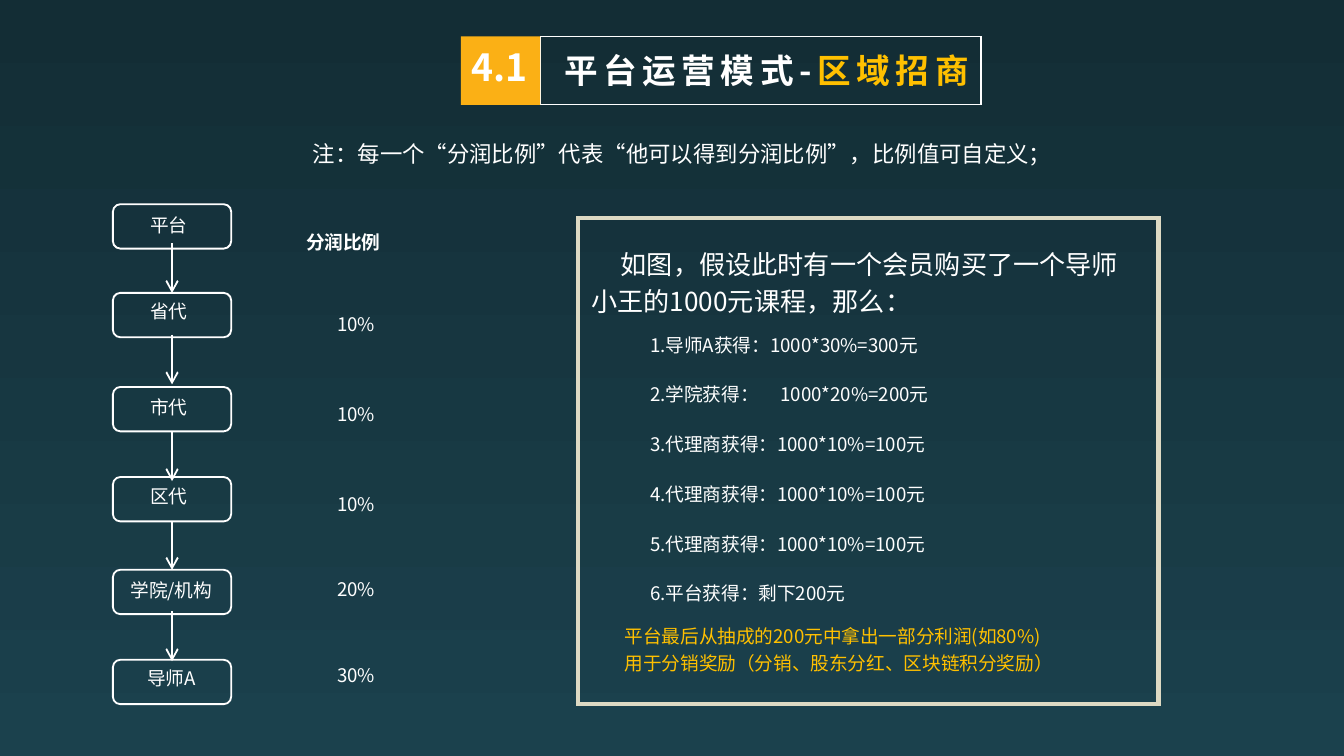
from typing import Any, NamedTuple

from lxml import etree
from pptx import Presentation
from pptx import util as u
from pptx.dml.color import RGBColor
from pptx.enum import shapes, text
from pptx.oxml import ns

FACE = "Noto Sans CJK SC"
INK = {
    "top": "132D35",
    "base": "1B414D",
    "white": "FFFFFF",
    "gold": "FFC000",
    "badge": "FBB015",
    "sand": "DDD9C3",
}


class Box(NamedTuple):
    left: float
    top: float
    width: float
    height: float


class Node(NamedTuple):
    name: str
    top: float
    label: Box
    centred: bool
    rate: str
    level: float


class Arrow(NamedTuple):
    start: float
    end: float


class Run(NamedTuple):
    words: str
    ink: str = "white"


def hue(name: str) -> RGBColor:
    return RGBColor.from_string(INK[name])


def apply(target: Any, style: dict[str, Any]) -> None:
    for key, value in style.items():
        setattr(target, key, value)


def write(slide: Any, box: Box, lines: list[list[Run]], size: float = 10,
          bold: bool = False, wrap: bool = True, track: int = 0,
          indent: float = 0, tab: float = 0, **style: Any) -> None:
    frame = slide.shapes.add_textbox(*map(u.Inches, box)).text_frame
    apply(frame, {"word_wrap": wrap, "auto_size": text.MSO_AUTO_SIZE.SHAPE_TO_FIT_TEXT})
    for i, line in enumerate(lines):
        para = frame.add_paragraph() if i else frame.paragraphs[0]
        props = para._p.get_or_add_pPr()
        apply(para, style)
        if indent:
            props.set("indent", str(u.Inches(indent)))
        if tab:
            stops = etree.SubElement(props, ns.qn("a:tabLst"))
            etree.SubElement(stops, ns.qn("a:tab"), pos=str(u.Inches(tab)), algn="l")
        for part in line:
            run = para.add_run()
            run.text = part.words
            apply(run.font, {"name": FACE, "size": u.Pt(size), "bold": bold})
            run.font.color.rgb = hue(part.ink)
            mark = run._r.get_or_add_rPr()
            etree.SubElement(mark, ns.qn("a:ea"), typeface=FACE)
            if track:
                mark.set("spc", str(track))


def frame(slide: Any, kind: Any, box: Box, line: str = "", width: float = 1,
          fill: str = "") -> None:
    shape = slide.shapes.add_shape(kind, *map(u.Inches, box))
    shape.shadow.inherit = False
    for paint, ink in ((shape.fill, fill), (shape.line.fill, line)):
        if ink:
            paint.solid()
            paint.fore_color.rgb = hue(ink)
        else:
            paint.background()
    if line:
        shape.line.width = u.Pt(width)
        etree.SubElement(shape.line._get_or_add_ln(), ns.qn("a:miter"), lim="800000")


def link(slide: Any, arrow: Arrow) -> None:
    wire = slide.shapes.add_connector(
        shapes.MSO_CONNECTOR.STRAIGHT, u.Inches(1.28), u.Inches(arrow.start),
        u.Inches(1.28), u.Inches(arrow.end))
    wire.line.color.rgb = hue("white")
    wire.line.width = u.Pt(1)
    etree.SubElement(wire.line._get_or_add_ln(), ns.qn("a:tailEnd"), type="arrow")
    etree.SubElement(wire._element.spPr, ns.qn("a:effectLst"))


def paint(slide: Any) -> None:
    fill = slide.background.fill
    fill.gradient()
    fill.gradient_angle = 270
    for stop, place, ink in zip(fill.gradient_stops, (0, 1), ("top", "base")):
        stop.position = place
        stop.color.rgb = hue(ink)


NODES = [
    Node("平台", 1.52, Box(1.02, 1.54, 0.52, 0.27), False, "", 0),
    Node("省代", 2.18, Box(1.02, 2.18, 0.52, 0.27), False, "10%", 2.28),
    Node("市代", 2.88, Box(1.02, 2.9, 0.52, 0.27), False, "10%", 2.95),
    Node("区代", 3.55, Box(1.02, 3.56, 0.52, 0.27), False, "10%", 3.62),
    Node("学院/机构", 4.24, Box(0.79, 4.26, 0.97, 0.27), True, "20%", 4.25),
    Node("导师A", 4.91, Box(0.95, 4.91, 0.65, 0.27), True, "30%", 4.89),
]
ARROWS = [Arrow(1.81, 2.18), Arrow(2.49, 2.86), Arrow(3.21, 3.58),
          Arrow(3.88, 4.24), Arrow(4.55, 4.92)]
SHARES = [
    "导师A获得：1000*30%=300元",
    "学院获得：\t1000*20%=200元",
    *["代理商获得：1000*10%=100元"] * 3,
    "平台获得：剩下200元",
]


def main() -> None:
    deck = Presentation()
    wide = u.Inches(10)
    apply(deck, {"slide_width": wide, "slide_height": wide * 9 // 16})
    slide = deck.slides.add_slide(deck.slide_layouts[6])
    paint(slide)
    kinds = shapes.MSO_SHAPE
    mid = text.PP_ALIGN.CENTER

    write(slide, Box(2.18, 1.67, 0.9, 0.27), [[Run("分润比例")]], bold=True)
    for node in NODES:
        frame(slide, kinds.ROUNDED_RECTANGLE, Box(0.84, node.top, 0.88, 0.33), "white")
        write(slide, node.label, [[Run(node.name)]],
              alignment=mid if node.centred else None)
        if node.rate:
            write(slide, Box(2.41, node.level, 0.53, 0.27), [[Run(node.rate)]])
    for arrow in ARROWS:
        link(slide, arrow)

    write(slide, Box(4.3, 1.75, 4.28, 0.67),
          [[Run("如图，假设此时有一个会员购买了一个导师小王的1000元课程，那么：")]],
          14, indent=0.22, line_spacing=1.2)
    frame(slide, kinds.RECTANGLE, Box(4.3, 1.62, 4.32, 3.62), "sand", 2.25)
    for i, share in enumerate(SHARES):
        write(slide, Box(4.74, 2.4 + 0.37 * i, 2.9, 0.3),
              [[Run(f"{i + 1}.{share}")]],
              tab=0.97 if "\t" in share else 0, line_spacing=1.2)
    write(slide, Box(4.55, 4.57, 3.65, 0.5),
          [[Run("平台最后从抽成的200元中拿出一部分利润(如80%)", "gold")],
           [Run("用于分销奖励（分销、股东分红、区块链积分奖励）", "gold")]],
          line_spacing=1.2)

    write(slide, Box(2.23, 0.99, 5.7, 0.3),
          [[Run("注：每一个“分润比例”代表“他可以得到分润比例”，比例值可自定义；")]],
          12, wrap=False)
    frame(slide, kinds.RECTANGLE, Box(4.02, 0.27, 3.28, 0.51), "white", 0.75)
    frame(slide, kinds.RECTANGLE, Box(3.43, 0.27, 0.59, 0.51), fill="badge")
    write(slide, Box(3.34, 0.28, 0.76, 0.44), [[Run("4.1")]], 20, True, alignment=mid)
    write(slide, Box(4.1, 0.32, 3.36, 0.4),
          [[Run("平台运营模式-"), Run("区域招商", "gold")]], 18, True, track=300)
    deck.save("out.pptx")


if __name__ == "__main__":
    main()
